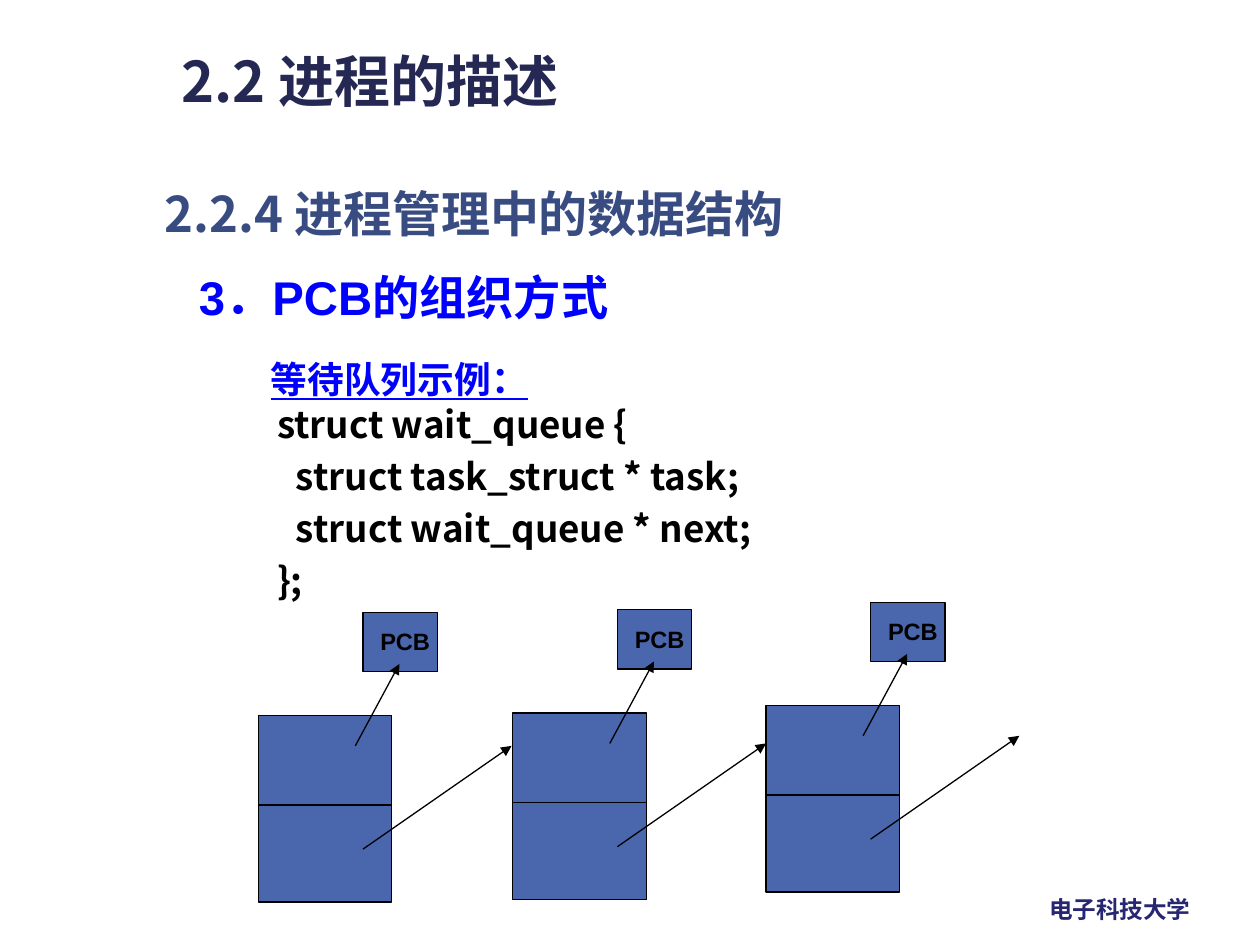
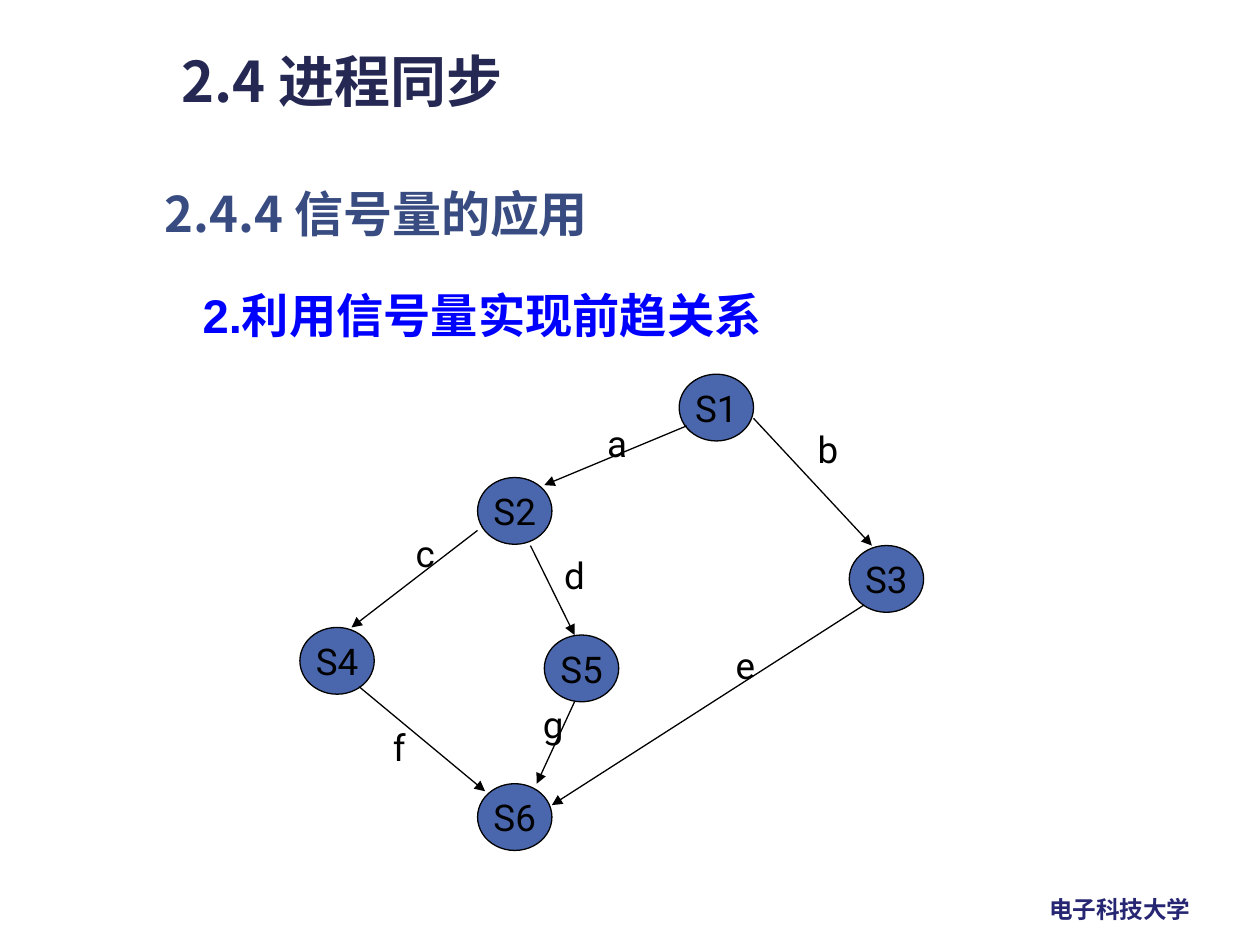
from dataclasses import dataclass
from typing import NamedTuple

from lxml.etree import SubElement
from pptx import Presentation
from pptx.dml.color import RGBColor
from pptx.enum.shapes import MSO_CONNECTOR, MSO_SHAPE
from pptx.enum.text import MSO_ANCHOR as Anchor, MSO_AUTO_SIZE as AutoSize, PP_ALIGN as Align
from pptx.oxml.ns import qn
from pptx.util import Inches, Pt

SLIDE_W, SLIDE_H = Inches(10), Inches(7.5)
COL, ROW = SLIDE_W / 100, SLIDE_H / 75

NAVY = RGBColor(0x24, 0x28, 0x52)
SLATE = RGBColor(0x38, 0x4C, 0x81)
INDIGO = RGBColor(0x26, 0x26, 0x73)
BLUE = RGBColor(0x00, 0x00, 0xFF)
FILL = RGBColor(0x4A, 0x66, 0xAC)
BLACK = RGBColor(0x00, 0x00, 0x00)
CJK = "Noto Sans CJK SC"


class Box(NamedTuple):
    """Left, top, width and height in grid columns and rows."""
    x: float
    y: float
    w: float
    h: float

    def emu(self) -> tuple[int, int, int, int]:
        return (round(self.x * COL), round(self.y * ROW),
                round(self.w * COL), round(self.h * ROW))


class Point(NamedTuple):
    x: float
    y: float


@dataclass(frozen=True)
class Style:
    size: float
    color: RGBColor = BLACK
    font: str = "Arial"
    bold: bool = True
    underline: bool = False
    align: Align = Align.LEFT
    spacing: float = 1.0
    before: float = 0


class Edge(NamedTuple):
    label: str
    start: Point
    end: Point
    label_box: Box


TITLE = Style(32, NAVY, CJK)
SECTION = Style(28, SLATE, CJK)
FOOTER = Style(13.5, INDIGO, CJK)
TOPIC = Style(27, BLUE)
TOPIC_SPACED = Style(27, BLUE, align=Align.JUSTIFY, spacing=1.2)
EXAMPLE = Style(21, BLUE, underline=True, align=Align.JUSTIFY, spacing=1.2)
CODE = Style(21, font=CJK, spacing=0.9, before=7)
PCB_LABEL = Style(13.5)
NODE = Style(21, font="Roboto", bold=False, align=Align.CENTER)
EDGE_LABEL = Style(21, font="Roboto", bold=False)

QUEUE_CODE = ["struct wait_queue {", "\tstruct task_struct * task;",
              "\tstruct wait_queue * next;", "};"]
QUEUE_ENTRIES = [Point(20.5, 56.8), Point(40.7, 56.6), Point(60.8, 56)]

NODES = {
    "S1": Point(53.9, 29.7), "S2": Point(37.9, 37.9), "S3": Point(67.4, 43.3),
    "S4": Point(23.8, 49.8), "S5": Point(43.2, 50.4), "S6": Point(37.9, 62.2),
}
EDGES = [
    Edge("a", Point(54.5, 33.8), Point(43.2, 38.5), Box(47.2, 32.9, 3.6, 4.5)),
    Edge("b", Point(59.8, 33.2), Point(69.2, 43.3), Box(63.9, 33.4, 3.6, 4.5)),
    Edge("c", Point(37.9, 42.1), Point(27.9, 49.8), Box(32, 41.6, 3.4, 4.5)),
    Edge("d", Point(42.1, 43.3), Point(45.6, 50.4), Box(43.8, 43.4, 3.6, 4.5)),
    Edge("e", Point(68.6, 48), Point(43.8, 63.9), Box(57.4, 50.5, 3.6, 4.5)),
    Edge("f", Point(28.5, 54.5), Point(38.5, 62.8), Box(30.2, 57, 2.9, 4.5)),
    Edge("g", Point(45.6, 55.7), Point(42.6, 62.2), Box(42.1, 55.2, 3.6, 4.5)),
]


def write(tf, lines: list[str], style: Style, hanging: bool = False) -> None:
    """Fill a text frame with one paragraph a line."""
    for i, line in enumerate(lines):
        p = tf.paragraphs[0] if i == 0 else tf.add_paragraph()
        p.text = line
        p.alignment = style.align
        p.line_spacing = style.spacing
        p.space_before = Pt(style.before if i else 0)
        if hanging:
            pPr = p._p.get_or_add_pPr()
            pPr.set("marL", str(Inches(0.38)))
            pPr.set("indent", str(Inches(-0.15)))
        f = p.font
        f.name, f.size, f.bold = style.font, Pt(style.size), style.bold
        f.underline = style.underline
        f.color.rgb = style.color
        SubElement(p._p.pPr.find(qn("a:defRPr")), qn("a:ea"), typeface=CJK)


def add_text(s, box: Box, lines: list[str], style: Style, wrap: bool = True,
             anchor: Anchor = Anchor.TOP, hanging: bool = False):
    tb = s.shapes.add_textbox(*box.emu())
    tf = tb.text_frame
    tf.word_wrap = wrap
    tf.vertical_anchor = anchor
    write(tf, lines, style, hanging)
    return tb


def add_block(s, box: Box, preset: MSO_SHAPE = MSO_SHAPE.RECTANGLE):
    sp = s.shapes.add_shape(preset, *box.emu())
    sp.shadow.inherit = False
    sp.fill.solid()
    sp.fill.fore_color.rgb = FILL
    sp.line.color.rgb = BLACK
    sp.line.width = Pt(0.75)
    return sp


def add_line(s, start: Point, end: Point, arrow: bool = True) -> None:
    ends = [round(v) for pt in (start, end) for v in (pt.x * COL, pt.y * ROW)]
    cn = s.shapes.add_connector(MSO_CONNECTOR.STRAIGHT, *ends)
    cn.line.color.rgb = BLACK
    cn.line.width = Pt(0.75)
    if arrow:
        SubElement(cn.line._get_or_add_ln(), qn("a:tailEnd"), type="triangle")
    SubElement(cn._element.spPr, qn("a:effectLst"))


def add_slide(prs, title: str, section: str):
    s = prs.slides.add_slide(prs.slide_layouts[5])
    sp = s.shapes.title
    sp.left, sp.top, sp.width, sp.height = Box(13.4, 3.2, 50.2, 6.6).emu()
    tf = sp.text_frame
    tf.auto_size = AutoSize.NONE
    tf.vertical_anchor = Anchor.TOP
    write(tf, [title], TITLE)
    add_text(s, Box(12.1, 14.1, 67.2, 7.2), [section], SECTION)
    return s


def move_footer_to_layout(s) -> None:
    """Place the footer on the layout, so every slide shows it."""
    tb = add_text(s, Box(82.3, 70.5, 13.4, 3.3), ["电子科技大学"], FOOTER, wrap=False)
    s.slide_layout.shapes._spTree.append(tb._element)


def add_queue_entry(s, at: Point) -> None:
    """Draw a two-part entry with arrows to its PCB and to the next entry."""
    x, y = at
    add_block(s, Box(x, y, 10.6, 14.8))
    add_line(s, Point(x, y + 7.1), Point(x + 10.6, y + 7.1), arrow=False)
    add_block(s, Box(x + 8.3, y - 8.2, 5.9, 4.7))
    add_text(s, Box(x + 8.7, y - 7.5, 6, 3.3), ["PCB"], PCB_LABEL, wrap=False)
    add_line(s, Point(x + 7.7, y + 2.4), Point(x + 11.2, y - 4.1))
    add_line(s, Point(x + 8.3, y + 10.6), Point(x + 20.1, y + 2.4))


def build_wait_queue(prs) -> None:
    s = add_slide(prs, "2.2 进程的描述", "2.2.4 进程管理中的数据结构")
    move_footer_to_layout(s)
    add_text(s, Box(14.8, 20.3, 67.1, 6.5), ["3．PCB的组织方式"], TOPIC,
             anchor=Anchor.MIDDLE)
    add_text(s, Box(20.5, 27.1, 77.6, 4.9), ["等待队列示例："], EXAMPLE)
    add_text(s, Box(18.7, 31.8, 67.5, 34.4), QUEUE_CODE, CODE, hanging=True)
    for at in QUEUE_ENTRIES:
        add_queue_entry(s, at)


def build_precedence_graph(prs) -> None:
    s = add_slide(prs, "2.4 进程同步", "2.4.4 信号量的应用")
    add_text(s, Box(15.1, 21.3, 63.4, 6.5), ["2.利用信号量实现前趋关系"], TOPIC_SPACED)
    for name, at in NODES.items():
        tf = add_block(s, Box(*at, 5.9, 5.3), MSO_SHAPE.OVAL).text_frame
        tf.word_wrap = False
        tf.vertical_anchor = Anchor.MIDDLE
        write(tf, [name], NODE)
    for edge in EDGES:
        add_line(s, edge.start, edge.end)
    for edge in EDGES:
        add_text(s, edge.label_box, [edge.label], EDGE_LABEL, wrap=False)


def main() -> None:
    prs = Presentation()
    prs.slide_width, prs.slide_height = SLIDE_W, SLIDE_H
    build_wait_queue(prs)
    build_precedence_graph(prs)
    prs.save("out.pptx")


if __name__ == "__main__":
    main()
